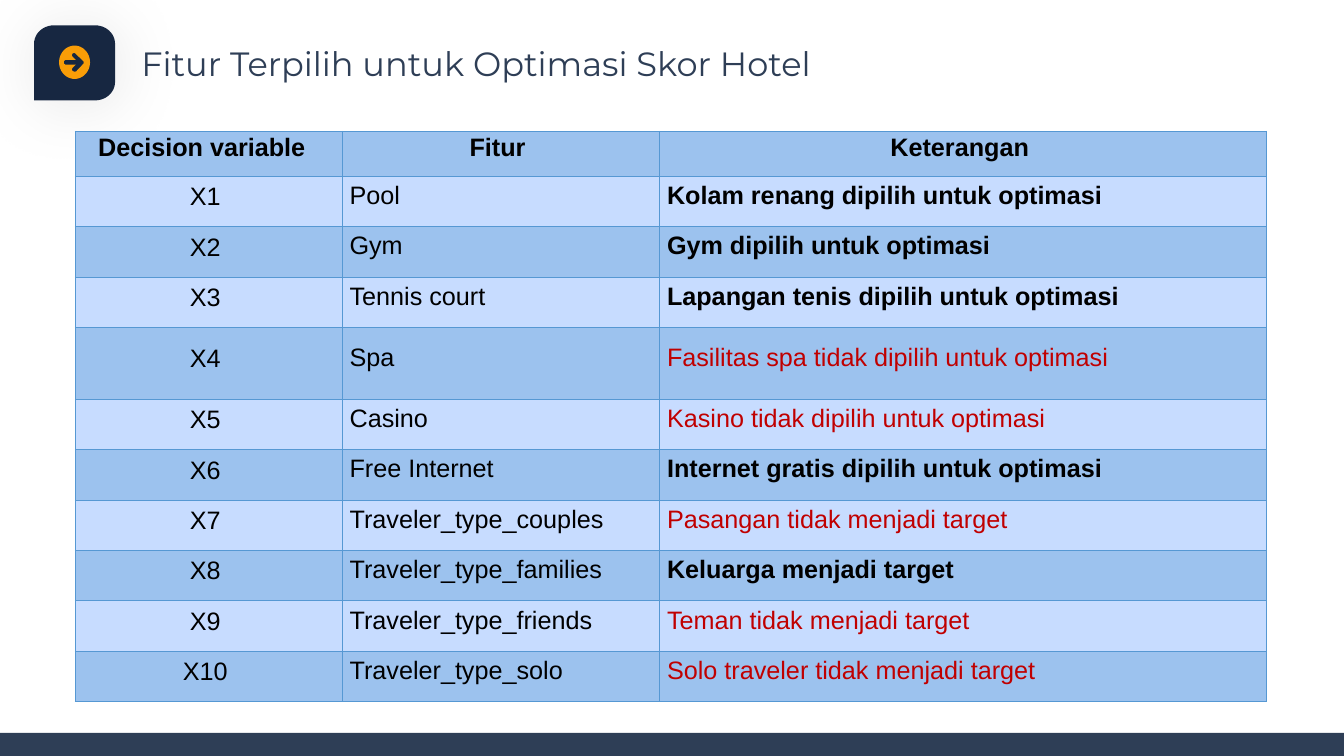
from dataclasses import dataclass
from math import cos, pi, sin

from lxml.etree import SubElement
from pptx import Presentation
from pptx.dml.color import RGBColor
from pptx.enum.shapes import MSO_SHAPE as Preset
from pptx.enum.text import MSO_ANCHOR as Anchor, MSO_AUTO_SIZE as AutoSize, PP_ALIGN as Align
from pptx.oxml import parse_xml
from pptx.oxml.ns import nsdecls, qn
from pptx.util import Cm, Pt

SLATE, NAVY, ORANGE = "2E3E56", "172741", "F99D07"
BLACK, RED, BORDER = "000000", "C00000", "5698D3"
BANDS = ("9CC2EE", "C7DCFF")
COLUMN_WIDTHS = (6.73, 8.0, 15.29)
HEADER_HEIGHT, ROW_HEIGHT, SPA_HEIGHT = 1.13, 1.27, 1.81

Point = tuple[float, float]


@dataclass
class Feature:
    name: str
    note: str
    chosen: bool = False


@dataclass
class CellStyle:
    centered: bool = False
    bold: bool = False
    color: str = BLACK
    spacing: float = 12
    right: float = 0.18


FEATURES = (
    Feature("Pool", "Kolam renang dipilih untuk optimasi", True),
    Feature("Gym", "Gym dipilih untuk optimasi", True),
    Feature("Tennis court", "Lapangan tenis dipilih untuk optimasi", True),
    Feature("Spa", "Fasilitas spa tidak dipilih untuk optimasi"),
    Feature("Casino", "Kasino tidak dipilih untuk optimasi"),
    Feature("Free Internet", "Internet gratis dipilih untuk optimasi", True),
    Feature("Traveler_type_couples", "Pasangan tidak menjadi target"),
    Feature("Traveler_type_families", "Keluarga menjadi target", True),
    Feature("Traveler_type_friends", "Teman tidak menjadi target"),
    Feature("Traveler_type_solo", "Solo traveler tidak menjadi target"),
)

ARROW = (
    (1.9, 1.35), (2.11, 1.55), (2.11, 1.6), (1.92, 1.8), (1.88, 1.81), (1.83, 1.79),
    (1.81, 1.75), (1.83, 1.71), (1.91, 1.63), (1.65, 1.63), (1.61, 1.6), (1.61, 1.54),
    (1.65, 1.51), (1.91, 1.51), (1.83, 1.43), (1.81, 1.39), (1.83, 1.35), (1.87, 1.33),
)


def rgb(color: str) -> RGBColor:
    return RGBColor.from_string(color)


def paint(shape, color: str) -> None:
    shape.shadow.inherit = False
    shape.fill.solid()
    shape.fill.fore_color.rgb = rgb(color)
    shape.line.fill.background()


def arc(x: float, y: float, rx: float, ry: float, start: float, turn: float) -> list[Point]:
    steps = max(1, round(turn / 7.5))
    angles = [(start + turn * step / steps) * pi / 180 for step in range(steps + 1)]
    return [(x + rx * cos(angle), y + ry * sin(angle)) for angle in angles]


def add_outline(page, color: str, *contours):
    first, *others = [[(Cm(x), Cm(y)) for x, y in contour] for contour in contours]
    builder = page.shapes.build_freeform(*first[0])
    builder.add_line_segments(first[1:])
    for contour in others:
        builder.move_to(*contour[0])
        builder.add_line_segments(contour[1:])
    shape = builder.convert_to_shape()
    paint(shape, color)
    return shape


def add_badge(page) -> None:
    left, top, right, bottom = 0.86, 0.64, 2.9, 2.53
    rx, ry = 0.5, 0.46
    tile = add_outline(page, NAVY, [
        (left, bottom),
        *arc(left + rx, top + ry, rx, ry, 180, 90),
        *arc(right - rx, top + ry, rx, ry, 270, 90),
        *arc(right - rx, bottom - ry, rx, ry, 0, 90),
    ])
    effects = tile.element.spPr.find(qn("a:effectLst"))
    glow = SubElement(effects, qn("a:outerShdw"), blurRad=str(Pt(50)), dist=str(Pt(3)),
                      dir="2700000", algn="tl", rotWithShape="0")
    tint = SubElement(glow, qn("a:srgbClr"), val=BLACK)
    SubElement(tint, qn("a:alpha"), val="10000")
    add_outline(page, ORANGE, arc(1.88, 1.57, 0.39, 0.42, 0, 360), ARROW)


def add_title(page, text: str) -> None:
    title = page.shapes.title
    title.left, title.top, title.width, title.height = Cm(3.56), Cm(1.07), Cm(21.06), Cm(1.02)
    frame = title.text_frame
    frame.text = text
    frame.margin_left = frame.margin_right = frame.margin_top = frame.margin_bottom = 0
    frame.vertical_anchor = Anchor.MIDDLE
    frame.auto_size = AutoSize.NONE
    para = frame.paragraphs[0]
    para.alignment = Align.LEFT
    para.font.name, para.font.size = "Montserrat", Pt(24)
    para.font.color.rgb = rgb(SLATE)


def fill_cell(cell, text: str, style: CellStyle, band: str) -> None:
    cell.text = text
    cell.vertical_anchor = Anchor.MIDDLE
    cell.margin_left, cell.margin_right = Cm(0.18), Cm(style.right)
    cell.margin_top = cell.margin_bottom = Cm(0.13)
    cell.fill.solid()
    cell.fill.fore_color.rgb = rgb(band)
    para = cell.text_frame.paragraphs[0]
    para.alignment = Align.CENTER if style.centered else Align.LEFT
    para.line_spacing = Pt(style.spacing)
    para.font.name, para.font.size, para.font.bold = "Arial", Pt(18), style.bold
    para.font.color.rgb = rgb(style.color)
    properties = cell._tc.get_or_add_tcPr()
    for index, side in enumerate("LRTB"):
        properties.insert(index, parse_xml(
            f'<a:ln{side} {nsdecls("a")} w="{Pt(0.75)}"><a:solidFill>'
            f'<a:srgbClr val="{BORDER}"/></a:solidFill></a:ln{side}>'))


def add_feature_table(page) -> None:
    heading = CellStyle(centered=True, bold=True, right=0.36)
    wide_heading = CellStyle(centered=True, bold=True, right=0.54)
    variable = CellStyle(centered=True, spacing=13.8, right=0.36)
    chosen, rejected = CellStyle(bold=True), CellStyle(color=RED)
    rows = [(("Decision variable", wide_heading), ("Fitur", heading), ("Keterangan", heading))]
    heights = [HEADER_HEIGHT]
    for number, feature in enumerate(FEATURES, 1):
        rows.append(((f"X{number}", variable), (feature.name, CellStyle()),
                     (feature.note, chosen if feature.chosen else rejected)))
        heights.append(SPA_HEIGHT if feature.name == "Spa" else ROW_HEIGHT)
    table = page.shapes.add_table(len(rows), len(COLUMN_WIDTHS), Cm(1.9), Cm(3.31),
                                  Cm(sum(COLUMN_WIDTHS)), Cm(sum(heights))).table
    table.first_row = table.horz_banding = False
    for column, width in zip(table.columns, COLUMN_WIDTHS):
        column.width = Cm(width)
    for index, (row, height) in enumerate(zip(rows, heights)):
        table.rows[index].height = Cm(height)
        for position, (text, style) in enumerate(row):
            fill_cell(table.cell(index, position), text, style, BANDS[index % 2])


def main() -> None:
    deck = Presentation()
    deck.slide_width, deck.slide_height = Cm(33.87), Cm(19.05)
    page = deck.slides.add_slide(deck.slide_layouts[5])
    footer = page.shapes.add_shape(Preset.RECTANGLE, 0, Cm(18.47), deck.slide_width, Cm(0.58))
    paint(footer, SLATE)
    add_title(page, "Fitur Terpilih untuk Optimasi Skor Hotel")
    add_badge(page)
    add_feature_table(page)
    deck.save("out.pptx")


if __name__ == "__main__":
    main()
